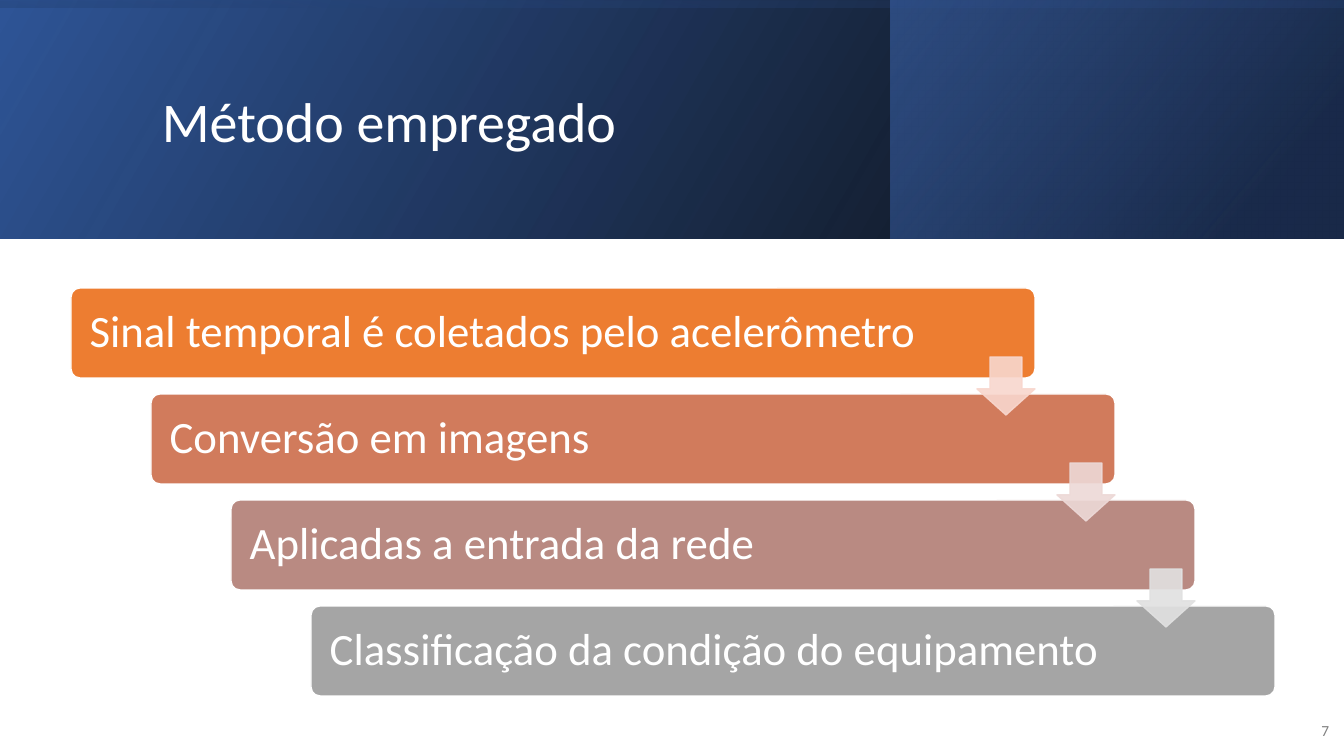
from pptx import Presentation
from pptx.dml.color import RGBColor
from pptx.enum.shapes import MSO_SHAPE
from pptx.enum.text import MSO_ANCHOR, PP_ALIGN
from pptx.oxml import parse_xml
from pptx.oxml.ns import nsdecls, qn
from pptx.util import Pt
from lxml.etree import SubElement

SCALE = 914400 / 100.8
HUES = {"white": "FFFFFF", "gray": "808080", "black": "000000", "blue": "2F5597",
        "navy": "203864", "sky": "4472C4"}
TITLE = "Método empregado"
PAGE = "7"
BANDS = [
    ((0, 0, 1344, 239), 0, 330, [(0, "black", 96), (100, "blue", 100)]),
    ((891, 0, 452, 239), 0, 320, [(19, "navy", 68), (100, "sky", 48)]),
    ((552, -552, 239, 1344), 270, 350, [(23, "blue", 16), (99, "black", 45)]),
]
STEPS = [
    ("Sinal temporal é coletados pelo acelerômetro", "ED7D31"),
    ("Conversão em imagens", "D17B5C"),
    ("Aplicadas a entrada da rede", "B98A82"),
    ("Classificação da condição do equipamento", "A5A5A5"),
]
ARROWS = ["F8D7CE", "EDD9D7", "E1E1E1"]
FIRST = (71, 288)
SHIFT = (80, 106)
STEP = (964, 90)
DROP = (906, 69)
ARROW = 58


def px(num):
    return round(num * SCALE)


def assign(item, values):
    for name, value in values.items():
        setattr(item, name, value)


def add_block(slide, kind, box):
    block = slide.shapes.add_shape(kind, *map(px, box))
    block.shadow.inherit = False
    return block


def paint(block, hue, edge, alpha=100):
    block.fill.solid()
    block.fill.fore_color.rgb = RGBColor.from_string(hue)
    block.line.color.rgb = RGBColor.from_string(edge)
    block.line.width = Pt(1)
    if alpha < 100:
        for color in block._element.spPr.iter(qn("a:srgbClr")):
            SubElement(color, qn("a:alpha")).set("val", str(alpha * 1000))


def add_band(slide, box, turn, angle, stops):
    band = add_block(slide, MSO_SHAPE.RECTANGLE, box)
    band.rotation = turn
    band.line.fill.background()
    props = band._element.spPr
    props.find(qn("a:xfrm")).set("flipH", "1")
    marks = "".join(
        f'<a:gs pos="{pos * 1000}"><a:srgbClr val="{HUES[hue]}">'
        f'<a:alpha val="{alpha * 1000}"/></a:srgbClr></a:gs>'
        for pos, hue, alpha in stops)
    props.find(qn("a:prstGeom")).addnext(parse_xml(
        f'<a:gradFill rotWithShape="1" {nsdecls("a")}><a:gsLst>{marks}</a:gsLst>'
        f'<a:lin ang="{angle * 60000}" scaled="0"/></a:gradFill>'))


def write(block, text, size, hue="white", align=PP_ALIGN.LEFT, **frame):
    assign(block.text_frame, {"word_wrap": True, "vertical_anchor": MSO_ANCHOR.MIDDLE, **frame})
    para = block.text_frame.paragraphs[0]
    assign(para, {"text": text, "alignment": align, "line_spacing": 0.9})
    assign(para.font, {"name": "Calibri", "size": Pt(size)})
    para.font.color.rgb = RGBColor.from_string(HUES[hue])


def add_label(slide, box, *args):
    write(slide.shapes.add_textbox(*map(px, box)), *args)


def main():
    deck = Presentation()
    assign(deck, {"slide_width": px(1344), "slide_height": px(756)})
    slide = deck.slides.add_slide(deck.slide_layouts[6])
    for band in BANDS:
        add_band(slide, *band)
    add_label(slide, (152, 38, 1072, 173), TITLE, 40)
    add_label(slide, (1290, 712, 49, 40), PAGE, 11, "gray", PP_ALIGN.RIGHT)

    spots = [(FIRST[0] + i * SHIFT[0], FIRST[1] + i * SHIFT[1]) for i in range(len(STEPS))]
    for (left, top), (text, hue) in zip(spots, STEPS):
        step = add_block(slide, MSO_SHAPE.ROUNDED_RECTANGLE, (left, top, *STEP))
        step.adjustments[0] = 0.1
        paint(step, hue, HUES["white"])
        write(step, text, 32, margin_left=px(16), margin_right=px(16))
    for (left, top), hue in zip(spots, ARROWS):
        arrow = add_block(slide, MSO_SHAPE.DOWN_ARROW,
                          (left + DROP[0], top + DROP[1], ARROW, ARROW))
        arrow.adjustments[0] = 0.45
        arrow.adjustments[1] = 0.55
        arrow.adjustments[0], arrow.adjustments[1] = 0.55, 0.45
        paint(arrow, hue, hue, 90)
    deck.save("out.pptx")


if __name__ == "__main__":
    main()
